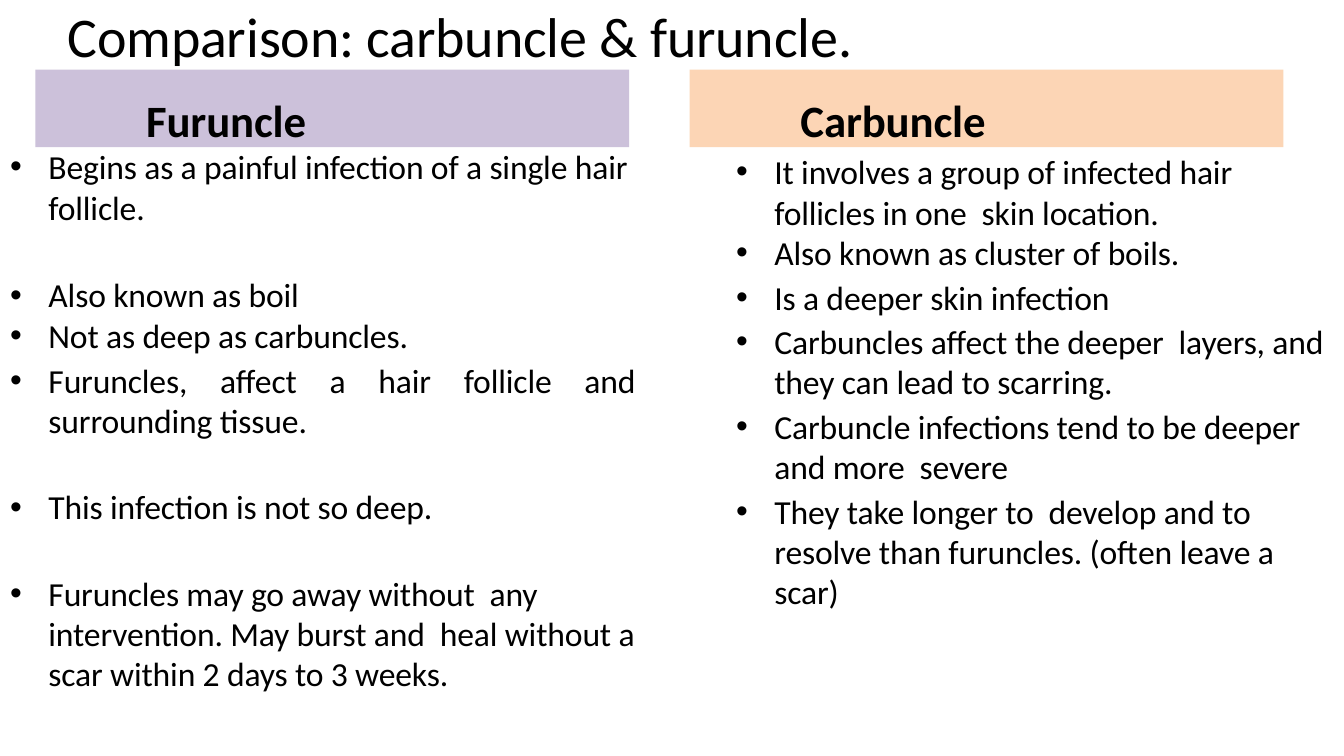
"""Build a slide that compares furuncles with carbuncles."""
from dataclasses import dataclass

from lxml.etree import SubElement
from pptx import Presentation
from pptx.dml.color import RGBColor
from pptx.enum.shapes import MSO_SHAPE
from pptx.enum.text import MSO_ANCHOR, MSO_AUTO_SIZE, PP_ALIGN
from pptx.oxml.ns import qn
from pptx.util import Inches, Pt

COLORS = {"text": "000000", "furuncle": "CCC1DA", "carbuncle": "FCD5B5"}
WIDTH, HEIGHT = Inches(13.33), Inches(7.5)
HEADER_TOP, HEADER_WIDTH, HEADER_HEIGHT = 9.2, 44.19, 10.27
HEADER_INSET, HEADER_INDENT = 3.07, 8.25
BULLET_INDENT, BULLET_HANGING, JUSTIFIED_MARGIN = 2.93, 2.85, 1.5


@dataclass(frozen=True)
class Area:
    """Place in percent of the slide's width and height."""
    left: float
    top: float
    width: float
    height: float
    inset: float


@dataclass(frozen=True)
class Point:
    """Bulleted statement with the space before it in points."""
    text: str
    before: float = 0
    justified: bool = False


@dataclass(frozen=True)
class Condition:
    """One side of the comparison."""
    heading: str
    color: str
    header_left: float
    body: Area
    points: tuple[Point, ...]


CONDITIONS = (
    Condition("Furuncle", "furuncle", 2.63, Area(0.68, 18.53, 48.09, 73.87, 0.8), (
        Point("Begins as a painful infection of a single hair  follicle."),
        Point("Also known as boil", 34),
        Point("Not as deep as carbuncles."),
        Point("Furuncles, affect a hair follicle and surrounding tissue.", 3.5, True),
        Point("This infection is not so deep.", 32.8),
        Point("Furuncles may go away without  any intervention. May burst and  heal "
              "without a scar within 2 days to 3 weeks.", 32.8),
    )),
    Condition("Carbuncle", "carbuncle", 51.31, Area(54.69, 19.33, 44.71, 62.27, 0.67), (
        Point("It involves a group of infected hair follicles in one  skin location."),
        Point("Also known as cluster of boils.", 0.1),
        Point("Is a deeper skin infection", 3),
        Point("Carbuncles affect the deeper  layers, and they can lead to scarring.", 3),
        Point("Carbuncle infections tend to be deeper and more  severe", 3),
        Point("They take longer to  develop and to resolve than furuncles. "
              "(often leave a scar)", 3),
    )),
)


def across(percent: float) -> int:
    """Turn a share of the slide's width into a length."""
    return round(WIDTH * percent / 100)


def down(percent: float) -> int:
    """Turn a share of the slide's height into a length."""
    return round(HEIGHT * percent / 100)


def place(area: Area) -> tuple[int, int, int, int]:
    """Return left, top, width and height of an area."""
    return across(area.left), down(area.top), across(area.width), down(area.height)


def prepare_frame(frame, inset: float, anchor=MSO_ANCHOR.TOP) -> None:
    """Set the wrapping, fitting and insets of a text frame."""
    frame.word_wrap = True
    frame.auto_size = MSO_AUTO_SIZE.SHAPE_TO_FIT_TEXT
    frame.vertical_anchor = anchor
    frame.margin_left = frame.margin_right = frame.margin_bottom = 0
    frame.margin_top = down(inset)


def write(paragraph, text: str, size: float, bold: bool = False) -> None:
    """Fill a paragraph with one formatted run."""
    paragraph.text = text
    for run in paragraph.runs:
        run.font.name = "Calibri"
        run.font.size = Pt(size)
        run.font.bold = bold
        run.font.color.rgb = RGBColor.from_string(COLORS["text"])
        run.font._element.set("spc", "-10")


def draw_title(slide, text: str) -> None:
    """Draw the title across the top of the slide."""
    area = Area(5.03, 0, 87.47, 9.2, 0.13)
    frame = slide.shapes.add_textbox(*place(area)).text_frame
    prepare_frame(frame, area.inset, MSO_ANCHOR.MIDDLE)
    write(frame.paragraphs[0], text, 40)


def draw_header(slide, condition: Condition) -> None:
    """Draw the coloured band that names a condition."""
    area = Area(condition.header_left, HEADER_TOP, HEADER_WIDTH, HEADER_HEIGHT,
                HEADER_INSET)
    band = slide.shapes.add_shape(MSO_SHAPE.RECTANGLE, *place(area))
    band.shadow.inherit = False
    band.fill.solid()
    band.fill.fore_color.rgb = RGBColor.from_string(COLORS[condition.color])
    band.line.fill.background()
    prepare_frame(band.text_frame, area.inset)
    heading = band.text_frame.paragraphs[0]
    heading.alignment = PP_ALIGN.LEFT
    heading._p.get_or_add_pPr().set("marL", str(across(HEADER_INDENT)))
    write(heading, condition.heading, 32, True)


def draw_points(slide, condition: Condition) -> None:
    """Draw the bulleted statements about a condition."""
    frame = slide.shapes.add_textbox(*place(condition.body)).text_frame
    prepare_frame(frame, condition.body.inset)
    for index, point in enumerate(condition.points):
        paragraph = frame.add_paragraph() if index else frame.paragraphs[0]
        properties = paragraph._p.get_or_add_pPr()
        properties.set("marL", str(across(BULLET_INDENT)))
        properties.set("indent", str(-across(BULLET_HANGING)))
        SubElement(properties, qn("a:buFont")).set("typeface", "Arial")
        SubElement(properties, qn("a:buChar")).set("char", "•")
        if point.justified:
            properties.set("marR", str(across(JUSTIFIED_MARGIN)))
        paragraph.alignment = PP_ALIGN.JUSTIFY if point.justified else PP_ALIGN.LEFT
        paragraph.space_before = Pt(point.before)
        write(paragraph, point.text, 24)


def main() -> None:
    """Create and save the presentation."""
    presentation = Presentation()
    presentation.slide_width, presentation.slide_height = WIDTH, HEIGHT
    slide = presentation.slides.add_slide(presentation.slide_layouts[6])
    draw_title(slide, "Comparison: carbuncle & furuncle.")
    for condition in CONDITIONS:
        draw_header(slide, condition)
        draw_points(slide, condition)
    presentation.save("out.pptx")


if __name__ == "__main__":
    main()
